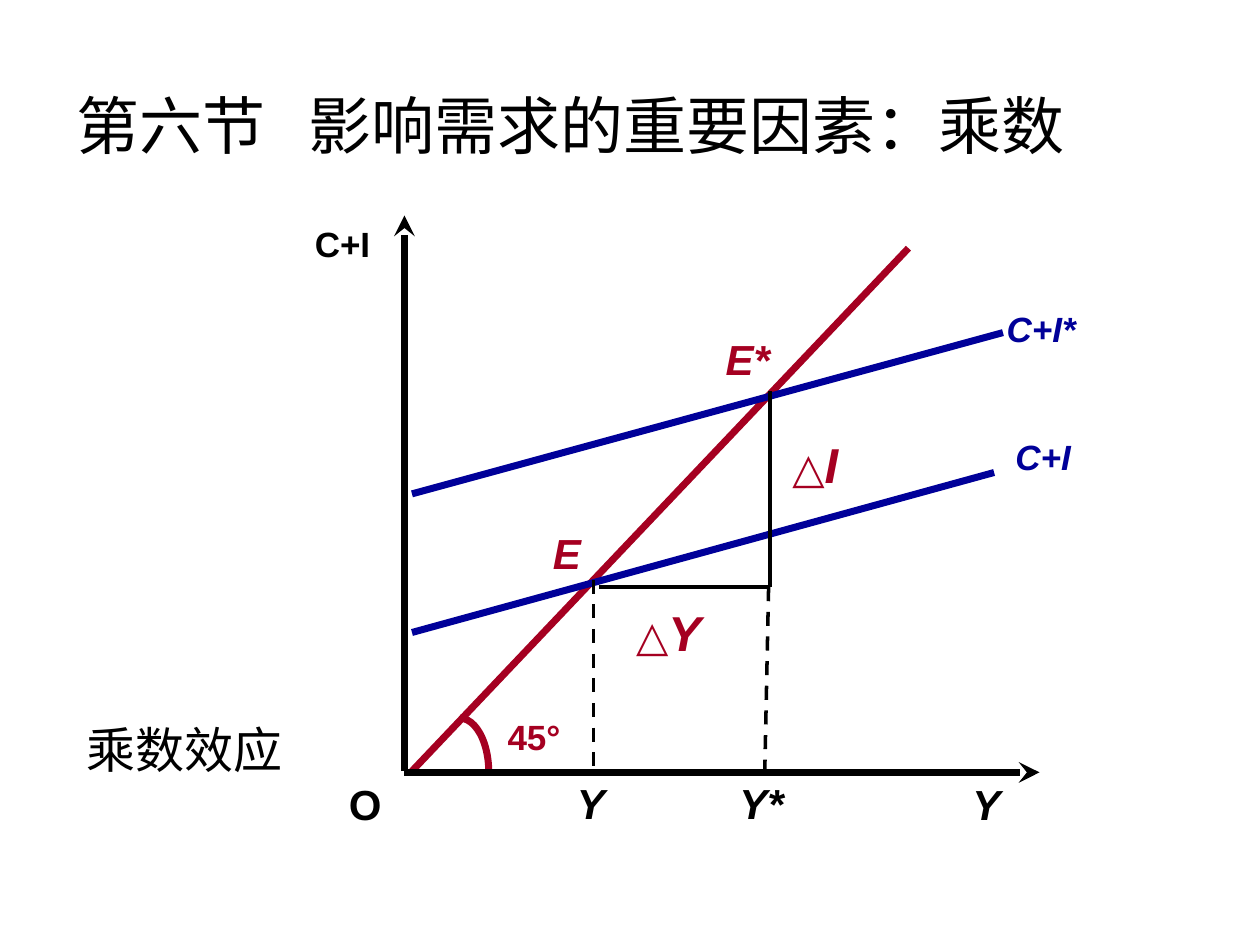
"""Build the multiplier-effect slide: a 45° line diagram with two demand lines."""
from lxml import etree
from pptx import Presentation
from pptx import util as u
from pptx.dml.color import RGBColor
from pptx.enum import dml, shapes, text
from pptx.oxml.ns import qn

BLACK = RGBColor(0x00, 0x00, 0x00)
RED = RGBColor(0xA5, 0x00, 0x21)
BLUE = RGBColor(0x00, 0x00, 0x99)

prs = Presentation()
prs.slide_width, prs.slide_height = u.Inches(10), u.Inches(7.5)
COL, ROW = prs.slide_width / 100, prs.slide_height / 75
s = prs.slides.add_slide(prs.slide_layouts[5])


def add_line(x1, y1, x2, y2, color, width, dashed=False, arrow=False):
    ends = [int(v) for v in (x1 * COL, y1 * ROW, x2 * COL, y2 * ROW)]
    sp = s.shapes.add_connector(shapes.MSO_CONNECTOR.STRAIGHT, *ends)
    sp.line.color.rgb = color
    sp.line.width = u.Pt(width)
    if dashed:
        sp.line.dash_style = dml.MSO_LINE.DASH
    if arrow:
        etree.SubElement(sp.line._get_or_add_ln(), qn("a:tailEnd"), type="stealth")
    etree.SubElement(sp._element.spPr, qn("a:effectLst"))


def add_text(x, y, w, h, runs, color, bold=True, italic=False):
    sp = s.shapes.add_textbox(*[int(v) for v in (x * COL, y * ROW, w * COL, h * ROW)])
    tf = sp.text_frame
    tf.word_wrap = True
    p = tf.paragraphs[0]
    p.font.name, p.font.bold, p.font.color.rgb = "Arial", bold, color
    for words, size in runs:
        r = p.add_run()
        r.text, r.font.size = words, u.Pt(size)
        r.font.italic = italic and words != "△"


title = s.shapes.title
title.left, title.top = int(5.1 * COL), int(5.2 * ROW)
title.width, title.height = int(90 * COL), int(9.4 * ROW)
title.text_frame.text = "第六节\t影响需求的重要因素：乘数"
title.text_frame.vertical_anchor = text.MSO_ANCHOR.MIDDLE
p = title.text_frame.paragraphs[0]
p.alignment = text.PP_ALIGN.LEFT
p.font.name, p.font.size, p.font.color.rgb = "Noto Sans CJK SC", u.Pt(36), BLACK
tabs = etree.SubElement(p._p.get_or_add_pPr(), qn("a:tabLst"))
p._p.pPr.insert(0, tabs)
etree.SubElement(tabs, qn("a:tab"), pos=str(int(18.4 * COL)), algn="l")

add_text(5.9, 56.6, 28, 6, [("乘数效应", 28)], BLACK, bold=False)

add_line(32.7, 61.2, 72.1, 19.7, RED, 4)
arc = s.shapes.add_shape(shapes.MSO_SHAPE.ARC, int(34.2 * COL), int(57 * ROW),
                         int(4.6 * COL), int(8.6 * ROW))
arc.shadow.inherit = False
arc.fill.background()
arc.line.color.rgb, arc.line.width = RED, u.Pt(4)

add_line(32.1, 61.2, 32.1, 17.1, BLACK, 4, arrow=True)
add_line(32.1, 61.3, 82.5, 61.3, BLACK, 4, arrow=True)
add_line(32.7, 50.2, 78.9, 37.5, BLUE, 4)
add_line(32.7, 39.2, 79.6, 26.4, BLUE, 4)
add_line(47.1, 46, 47.1, 61.2, BLACK, 2, dashed=True)
add_line(61, 46.6, 60.7, 61.2, BLACK, 2, dashed=True)
add_line(47.5, 46.6, 61, 46.6, BLACK, 2)
add_line(61.1, 46.6, 61.1, 31, BLACK, 2)

for x, y, w, words, size, color, italic in [
    (26.7, 61.3, 4.6, "O", 24, BLACK, False),
    (76.2, 61.3, 13, "Y", 24, BLACK, True),
    (44.8, 61.2, 6.8, "Y", 24, BLACK, True),
    (57.7, 61.2, 6.8, "Y*", 24, BLACK, True),
    (24, 17.2, 13, "C+I", 20, BLACK, False),
    (39.3, 56.3, 8.6, "45°", 20, RED, False),
    (42.9, 41.4, 10.9, "E", 24, RED, True),
    (56.6, 26, 10.9, "E*", 24, RED, True),
    (79.6, 34.1, 11.2, "C+I", 20, BLUE, True),
    (78.9, 23.9, 12.9, "C+I*", 20, BLUE, True),
]:
    add_text(x, y, w, 5 if size == 24 else 4.4, [(words, size)], color, italic=italic)

for x, y, name in [(49.5, 47.3, "Y"), (61.9, 34, "I")]:
    add_text(x, y, 17, 10.4, [("△", 24), (name, 28)], RED, italic=True)

prs.save("out.pptx")
